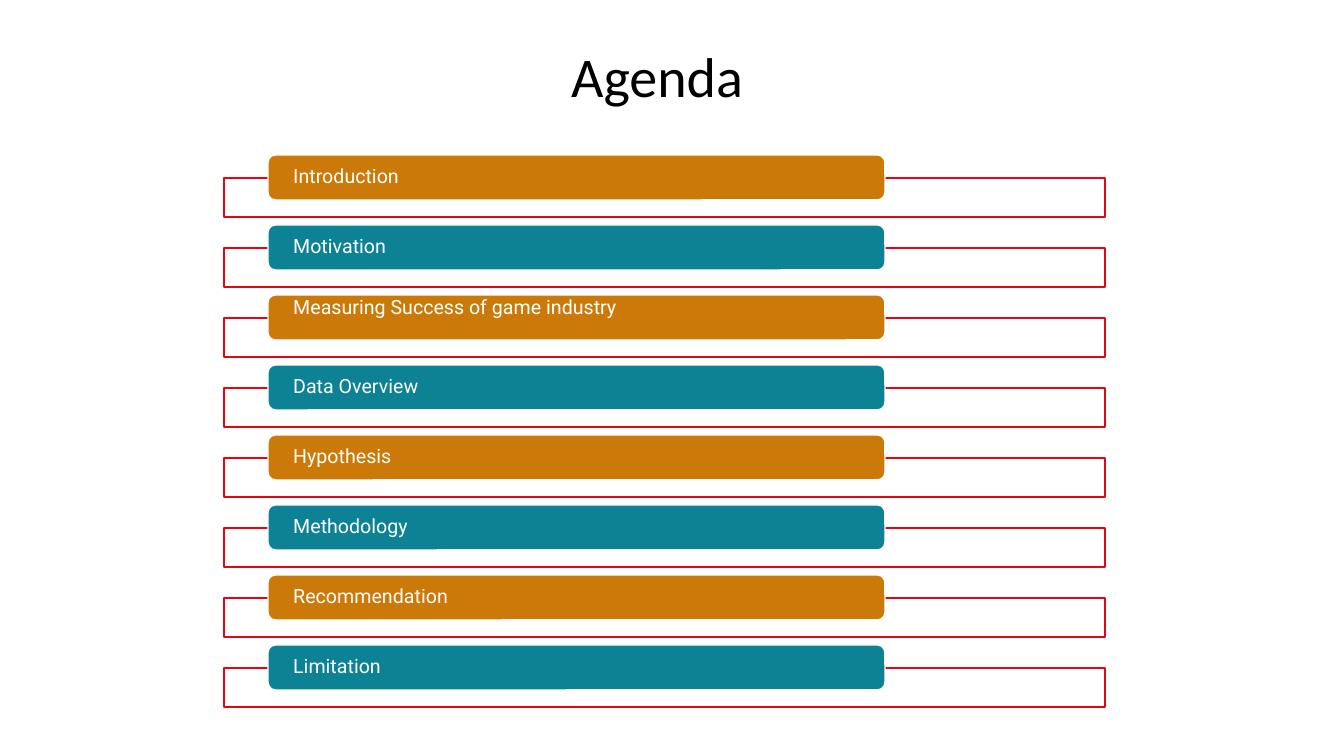
import pptx
import pptx.dml.color
import pptx.enum.shapes
import pptx.enum.text
import pptx.oxml
import pptx.oxml.ns
import pptx.util

SHAPE = pptx.enum.shapes.MSO_SHAPE
ALIGN = pptx.enum.text.PP_ALIGN
ANCHOR = pptx.enum.text.MSO_ANCHOR

TOPICS = [
    "Introduction",
    "Motivation",
    "Measuring Success of game industry",
    "Data Overview",
    "Hypothesis",
    "Methodology",
    "Recommendation",
    "Limitation",
]
TOP_ANCHORED = "Measuring Success of game industry"
BAR_COLORS = ["CB7A09", "0D8295"]
FIRST_BAR_TOP = 155
ROW_PITCH = 70


def px(length):
    """Convert pixels to EMU."""
    return pptx.util.Emu(round(length * 914400 / 100.8))


def rgb(color):
    """Convert a hex string to a colour."""
    return pptx.dml.color.RGBColor.from_string(color)


class AgendaSlide:
    """Hold the agenda style and the current slide."""

    title_font, title_size = "Calibri", 40
    topic_font, topic_size = "Roboto", 14
    ink, paper, frame_color = "000000", "FFFFFF", "E20613"

    def __init__(self, presentation):
        """Add a title-only slide."""
        self.slide = presentation.slides.add_slide(presentation.slide_layouts[5])

    def set_text(self, frame, text, font, size, color, align, anchor):
        """Fill a text frame with one formatted paragraph."""
        frame.text = text
        frame.word_wrap = True
        frame.auto_size = pptx.enum.text.MSO_AUTO_SIZE.NONE
        frame.vertical_anchor = anchor
        paragraph = frame.paragraphs[0]
        paragraph.alignment = align
        paragraph.line_spacing = 0.9
        for run in paragraph.runs:
            run.font.name = font
            run.font.size = pptx.util.Pt(size)
            run.font.color.rgb = rgb(color)

    def title(self, text, left, top, width, height):
        """Place and format the title placeholder."""
        heading = self.slide.shapes.title
        heading.left, heading.top = px(left), px(top)
        heading.width, heading.height = px(width), px(height)
        heading.text_frame.margin_right = px(40)
        self.set_text(heading.text_frame, text, self.title_font, self.title_size,
                      self.ink, ALIGN.CENTER, ANCHOR.MIDDLE)

    def box(self, preset, left, top, width, height, fill, line):
        """Add a filled and outlined shape."""
        shape = self.slide.shapes.add_shape(
            preset, px(left), px(top), px(width), px(height))
        shape.shadow.inherit = False
        shape.fill.solid()
        shape.fill.fore_color.rgb = rgb(fill)
        shape.line.color.rgb = rgb(line)
        shape.line.width = pptx.util.Pt(1)
        return shape

    def frame(self, left, top, width, height):
        """Add a red frame with a slightly transparent white fill."""
        frame = self.box(SHAPE.RECTANGLE, left, top, width, height,
                         self.paper, self.frame_color)
        solid_fill = frame.element.spPr.find(pptx.oxml.ns.qn("a:solidFill"))
        alpha = pptx.oxml.parse_xml(
            f'<a:alpha {pptx.oxml.ns.nsdecls("a")} val="90000"/>')
        solid_fill[0].append(alpha)

    def bar(self, text, left, top, width, height, color, anchor):
        """Add a rounded topic bar with its label."""
        bar = self.box(SHAPE.ROUNDED_RECTANGLE, left, top, width, height,
                       color, self.paper)
        label = bar.text_frame
        label.margin_left = label.margin_right = px(23)
        label.margin_top = label.margin_bottom = 0
        self.set_text(label, text, self.topic_font, self.topic_size,
                      self.paper, ALIGN.LEFT, anchor)


def main():
    """Build and save the agenda."""
    presentation = pptx.Presentation()
    presentation.slide_width, presentation.slide_height = px(1344), px(756)
    agenda = AgendaSlide(presentation)
    agenda.title("Agenda", 96, 6, 1152, 146)
    for row, topic in enumerate(TOPICS):
        top = FIRST_BAR_TOP + row * ROW_PITCH
        anchor = ANCHOR.TOP if topic == TOP_ANCHORED else ANCHOR.MIDDLE
        agenda.frame(224, top + 23, 881, 39)
        agenda.bar(topic, 268, top, 617, 45, BAR_COLORS[row % 2], anchor)
    presentation.save("out.pptx")


if __name__ == "__main__":
    main()
